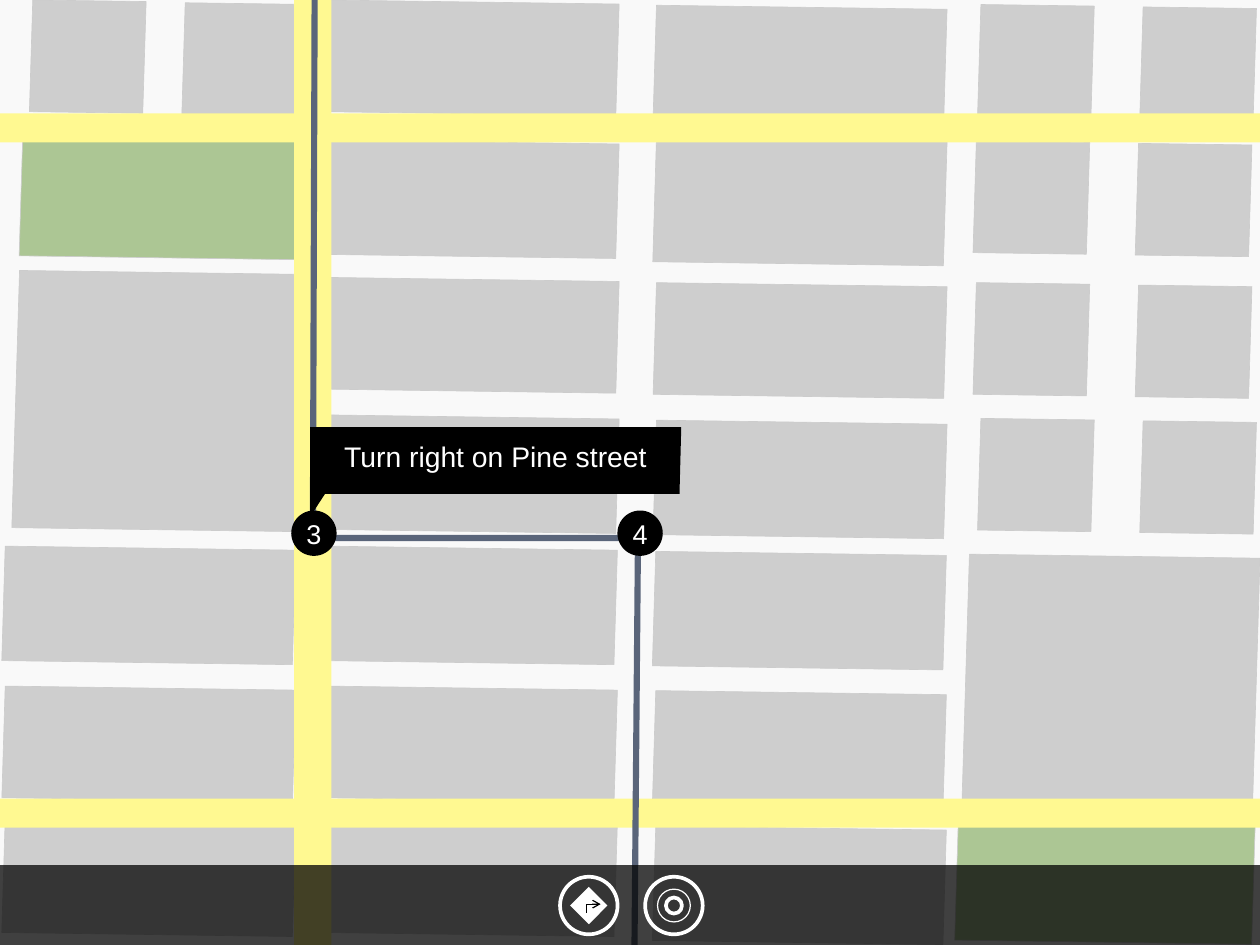
from lxml.etree import SubElement
from pptx import Presentation
from pptx.dml.color import RGBColor
from pptx.enum.shapes import MSO_SHAPE as SHAPE
from pptx.enum.text import MSO_ANCHOR as ANCHOR, PP_ALIGN as ALIGN
from pptx.oxml.ns import qn
from pptx.util import Cm, Pt

WIDTH, HEIGHT = 36.12, 27.08
GROUND, BLOCK, EDGE, PARK = "F9F9F9", "CECECE", "CCCCCC", "ACC694"
ROAD, ROUTE, BLACK, WHITE = "FFF991", "5A657A", "000000", "FFFFFF"
SLOPE, LEAN = 0.014, 0.03  # drop per unit of width, left shift per unit of height
LONG, SHORT = 8.33, 3.25  # block widths
LOW, MID, TALL = 3.2, 3.28, 7.37  # block heights


def rgb(color):
    return RGBColor.from_string(color)


class StreetMap:
    def __init__(self, s, font="Arial"):
        self.s = s
        self.font = font

    def style(self, sp, fill=None, line=None, weight=1):
        sp.shadow.inherit = False
        if fill:
            sp.fill.solid()
            sp.fill.fore_color.rgb = rgb(fill)
        else:
            sp.fill.background()
        if line:
            sp.line.color.rgb = rgb(line)
            sp.line.width = Pt(weight)
        else:
            sp.line.fill.background()
        return sp

    def box(self, x, y, w, h, fill):
        sp = self.s.shapes.add_shape(SHAPE.RECTANGLE, Cm(x), Cm(y), Cm(w), Cm(h))
        return self.style(sp, fill)

    def centred(self, kind, cx, cy, size, **look):
        """Add a shape of equal width and height around a centre point."""
        sp = self.s.shapes.add_shape(
            kind, Cm(cx - size / 2), Cm(cy - size / 2), Cm(size), Cm(size))
        return self.style(sp, **look)

    def outline(self, points, close=True, **look):
        start, *rest = [(Cm(x), Cm(y)) for x, y in points]
        builder = self.s.shapes.build_freeform(*start, scale=1.0)
        builder.add_line_segments(rest, close=close)
        return self.style(builder.convert_to_shape(), **look)

    def block(self, x, y, w, h, fill=BLOCK):
        drop, shift = SLOPE * w, LEAN * h
        self.outline([(x, y), (x + w, y + drop), (x + w - shift, y + drop + h),
                      (x - shift, y + h)], fill=fill, line=EDGE, weight=0.5)

    def text(self, sp, words, size, inset, anchor):
        tf = sp.text_frame
        tf.word_wrap = True
        tf.vertical_anchor = anchor
        tf.margin_left = tf.margin_right = Cm(inset)
        tf.margin_top = tf.margin_bottom = Cm(inset)
        p = tf.paragraphs[0]
        p.text = words
        p.alignment = ALIGN.CENTER
        p.font.name = self.font
        p.font.size = Pt(size)
        p.font.color.rgb = rgb(WHITE)

    def marker(self, cx, cy, number):
        sp = self.centred(SHAPE.OVAL, cx, cy, 1.3, fill=BLACK)
        self.text(sp, number, 22, 0, ANCHOR.MIDDLE)


def add_blocks(city):
    upper_rows = {9.42: [(0, LOW), (4.01, MID), (7.95, LOW), (11.89, MID)],
                  18.82: [(0.15, LOW), (3.94, 3.56), (8.1, LOW), (12.04, MID)]}
    west_rows = [(15.65, MID), (19.66, LOW), (23.44, MID)]
    lower_rows = {0.15: west_rows, 9.37: west_rows,
                  18.8: [(15.8, MID), (19.79, LOW), (23.67, MID)]}
    for columns in (upper_rows, lower_rows):
        for x, rows in columns.items():
            for y, h in rows:
                city.block(x, y, LONG, h)

    for x, y in [(28.12, 0.13), (27.99, 4.04), (27.99, 8.1), (28.12, 11.99)]:
        city.block(x, y, SHORT, LOW)
        city.block(x + 4.65, y + 0.07, SHORT, LOW)
    for x, y in [(0.94, 0), (5.31, 0.08)]:
        city.block(x, y, SHORT, LOW)
    for x, y in [(0.56, 7.75), (27.79, 15.88)]:
        city.block(x, y, LONG, TALL)
    city.block(0.66, 3.63, 8.2, 3.7, PARK)
    city.block(27.48, 23.24, 8.51, 3.7, PARK)


def add_toolbar(city):
    bar = city.box(0, 24.79, WIDTH, 2.29, BLACK)
    black = bar._element.spPr.find(qn("a:solidFill"))[0]
    SubElement(black, qn("a:alpha"), val="74000")

    turn_x, target_x, y = 16.88, 19.32, 25.95
    city.centred(SHAPE.OVAL, turn_x, y, 1.65, line=WHITE, weight=3)
    city.centred(SHAPE.DIAMOND, turn_x, y, 1.07, fill=WHITE)
    arrow = city.outline([(16.81, 26.16), (16.81, 25.91), (17.22, 25.91)],
                         close=False, line=BLACK)
    SubElement(arrow.line._get_or_add_ln(), qn("a:tailEnd"), type="arrow")
    for size, weight in [(1.65, 3), (0.94, 1), (0.46, 3)]:
        city.centred(SHAPE.OVAL, target_x, y, size, line=WHITE, weight=weight)


def main():
    prs = Presentation()
    prs.slide_width, prs.slide_height = Cm(WIDTH), Cm(HEIGHT)
    s = prs.slides.add_slide(prs.slide_layouts[6])
    s.background.fill.solid()
    s.background.fill.fore_color.rgb = rgb("192F3C")
    city = StreetMap(s)

    city.box(0, 0, WIDTH, HEIGHT, GROUND)
    add_blocks(city)
    city.box(0, 22.89, WIDTH, 0.83, ROAD)
    city.box(8.43, 0, 1.07, HEIGHT, ROAD)
    city.box(0, 3.25, WIDTH, 0.83, ROAD)
    city.outline([(9.02, 0), (8.97, 15.42), (18.29, 15.42), (18.19, HEIGHT)],
                 close=False, line=ROUTE, weight=5)
    add_toolbar(city)

    callout = city.outline([(19.53, 12.24), (8.89, 12.24), (8.89, 14.81),
                            (9.32, 14.15), (19.48, 14.15)], fill=BLACK)
    city.text(callout, "Turn right on Pine street", 23, 0.36, ANCHOR.TOP)
    city.marker(9, 15.28, "3")
    city.marker(18.35, 15.28, "4")
    prs.save("out.pptx")


if __name__ == "__main__":
    main()
